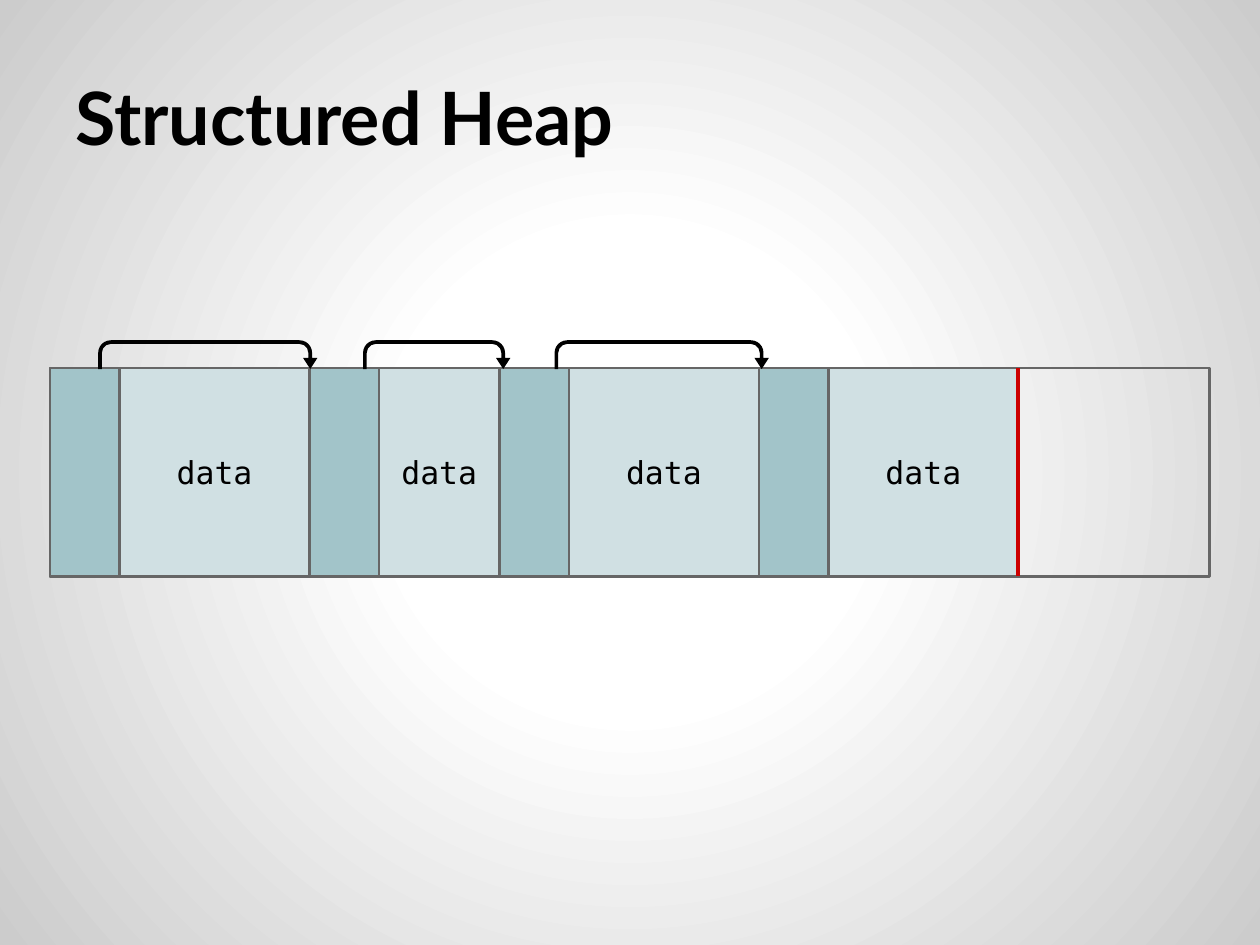
import pptx
import pptx.dml.color
import pptx.enum.shapes
import pptx.enum.text
import pptx.oxml
import pptx.oxml.ns
import pptx.util
from lxml import etree

Cm = pptx.util.Cm
Pt = pptx.util.Pt
RGB = pptx.dml.color.RGBColor.from_string
SHAPE = pptx.enum.shapes.MSO_SHAPE
ALIGN = pptx.enum.text.PP_ALIGN


class Theme:
    ink = "000000"
    border = "666666"
    header = "A2C4C9"
    data = "D0E0E3"
    limit = "CC0000"
    bg_center = "FFFFFF"
    bg_edge = "CCCCCC"
    title_font, title_size = "Lato", 42
    data_font, data_size = "DejaVu Sans Mono", 18


def add_block(x, width, fill=None):
    sp = s.shapes.add_shape(SHAPE.RECTANGLE, Cm(x), Cm(heap_top), Cm(width), Cm(heap_height))
    sp.shadow.inherit = False
    if fill:
        sp.fill.solid()
        sp.fill.fore_color.rgb = RGB(fill)
    else:
        sp.fill.background()
    sp.line.color.rgb = RGB(Theme.border)
    sp.line.width = Pt(1.5)
    return sp


def write(sp, text, font, size, bold, align):
    tf = sp.text_frame
    tf.word_wrap = True
    tf.vertical_anchor = pptx.enum.text.MSO_ANCHOR.MIDDLE
    tf.margin_left = tf.margin_right = tf.margin_top = tf.margin_bottom = Cm(0.25)
    p = tf.paragraphs[0]
    p.alignment = align
    r = p.add_run()
    r.text = text
    r.font.name = font
    r.font.size = Pt(size)
    r.font.bold = bold
    r.font.color.rgb = RGB(Theme.ink)


prs = pptx.Presentation()
prs.slide_width = Cm(25.4)
prs.slide_height = Cm(19.05)
s = prs.slides.add_slide(prs.slide_layouts[6])

stops = "".join(
    f'<a:gs pos="{pos}"><a:srgbClr val="{color}"/></a:gs>'
    for pos, color in [(0, Theme.bg_center), (30000, Theme.bg_center), (100000, Theme.bg_edge)]
)
bg = pptx.oxml.parse_xml(
    f'<p:bg {pptx.oxml.ns.nsdecls("p", "a")}><p:bgPr><a:gradFill><a:gsLst>{stops}</a:gsLst>'
    '<a:path path="circle"><a:fillToRect l="50000" t="50000" r="50000" b="50000"/></a:path>'
    "</a:gradFill><a:effectLst/></p:bgPr></p:bg>"
)
s.element.cSld.insert(0, bg)

title = s.shapes.add_textbox(Cm(1.27), Cm(0.76), Cm(22.86), Cm(3.18))
write(title, "Structured Heap", Theme.title_font, Theme.title_size, True, ALIGN.LEFT)

heap_left, heap_top, heap_width, heap_height = 1.01, 7.42, 23.37, 4.2
header_width = 1.4
add_block(heap_left, heap_width)

x = heap_left
for data_width in (3.83, 2.43, 3.83, 3.83):
    add_block(x, header_width, Theme.header)
    x += header_width
    sp = add_block(x, data_width, Theme.data)
    write(sp, "data", Theme.data_font, Theme.data_size, False, ALIGN.CENTER)
    x += data_width

for left, width in ((1.98, 4.42), (7.32, 2.97), (11.18, 4.32)):
    sp = s.shapes.add_shape(SHAPE.U_TURN_ARROW, Cm(left), Cm(6.86), Cm(width), Cm(0.58))
    for i, value in enumerate((0.128, 0.25, 0.385, 0.438, 1)):
        sp.adjustments[i] = value
    sp.shadow.inherit = False
    sp.fill.solid()
    sp.fill.fore_color.rgb = RGB(Theme.ink)
    sp.line.fill.background()

limit = s.shapes.add_connector(
    pptx.enum.shapes.MSO_CONNECTOR.STRAIGHT, Cm(x), Cm(heap_top), Cm(x), Cm(heap_top + heap_height)
)
limit.line.color.rgb = RGB(Theme.limit)
limit.line.width = Pt(2.25)
etree.SubElement(limit.element.spPr, pptx.oxml.ns.qn("a:effectLst"))

prs.save("out.pptx")
